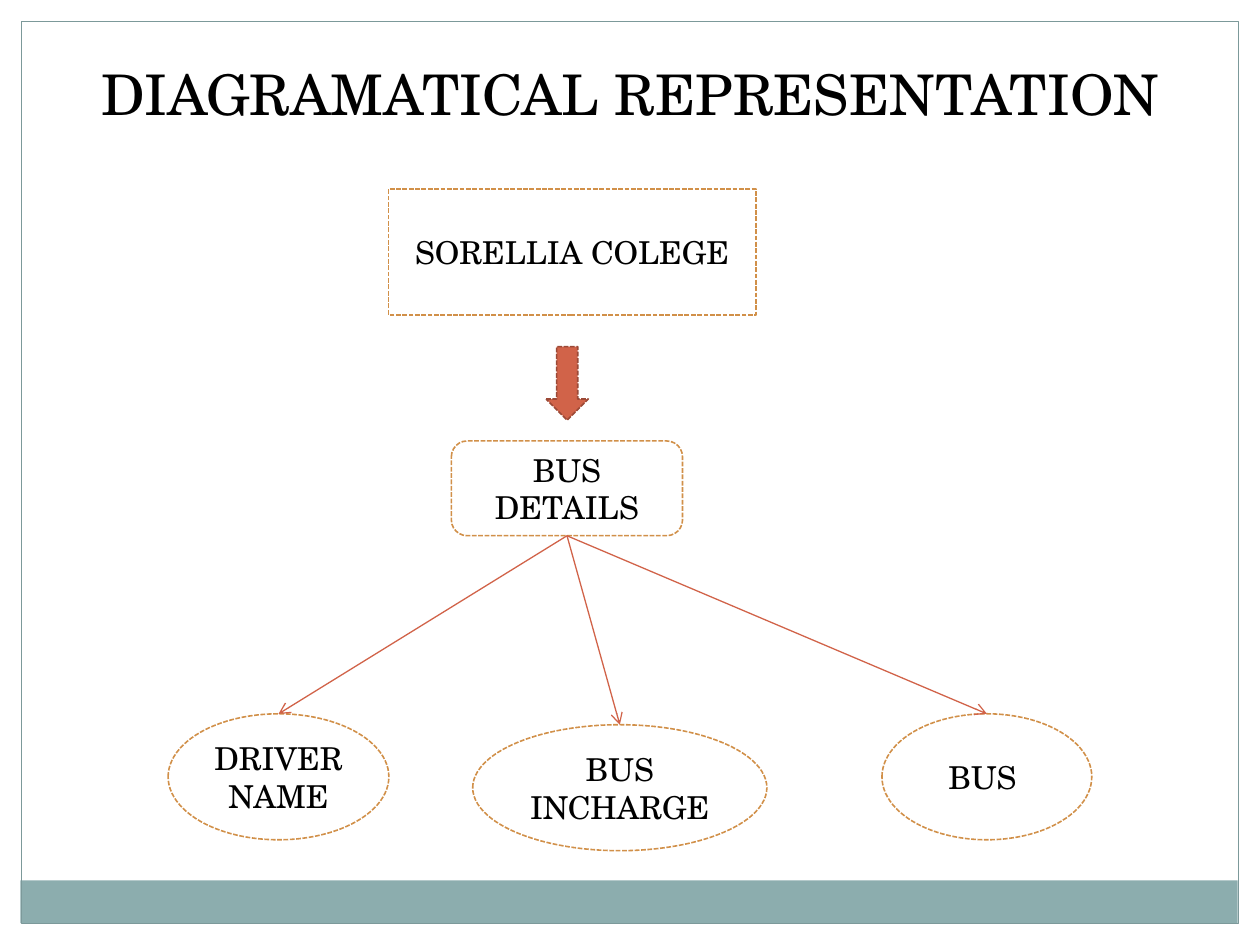
import pptx
import pptx.util
import pptx.dml.color
import pptx.enum.dml
import pptx.enum.shapes
import pptx.enum.text
import pptx.oxml.ns
import lxml.etree

Cm, Pt = pptx.util.Cm, pptx.util.Pt
SHAPE = pptx.enum.shapes.MSO_SHAPE
ANCHOR = pptx.enum.text.MSO_ANCHOR
FONT = "TeX Gyre Schola"
BLACK, WHITE, TEAL, GREY_TEAL = "000000", "FFFFFF", "8CADAE", "7C999A"
ORANGE, RED, DARK_RED = "D19049", "D16349", "9B4936"


def rgb(value):
    return pptx.dml.color.RGBColor.from_string(value)


def write(frame, text, size, anchor):
    frame.word_wrap = True
    frame.vertical_anchor = anchor
    frame.text = text
    paragraph = frame.paragraphs[0]
    paragraph.alignment = pptx.enum.text.PP_ALIGN.CENTER
    paragraph.font.name = FONT
    paragraph.font.size = Pt(size)
    paragraph.font.color.rgb = rgb(BLACK)


def add_block(slide, kind, place, fill=None, line=None, width=0.9, dashed=True):
    block = slide.shapes.add_shape(kind, *map(Cm, place))
    block.shadow.inherit = False
    if fill:
        block.fill.solid()
        block.fill.fore_color.rgb = rgb(fill)
    else:
        block.fill.background()
    if line:
        block.line.color.rgb = rgb(line)
        block.line.width = Pt(width)
        if dashed:
            block.line.dash_style = pptx.enum.dml.MSO_LINE.SQUARE_DOT
    else:
        block.line.fill.background()
    return block


def add_node(slide, kind, text, place):
    node = add_block(slide, kind, place, WHITE, ORANGE)
    write(node.text_frame, text, 18, ANCHOR.MIDDLE)
    return node


def add_arrow(slide, parent, child):
    """Join the bottom of the parent to the top of the child."""
    arrow = slide.shapes.add_connector(
        pptx.enum.shapes.MSO_CONNECTOR.STRAIGHT, 0, 0, 0, 0)
    arrow.begin_connect(parent, 2)
    arrow.end_connect(child, 0)
    arrow.line.color.rgb = rgb(RED)
    arrow.line.width = Pt(0.75)
    qn = pptx.oxml.ns.qn
    properties = arrow._element.spPr
    lxml.etree.SubElement(properties.find(qn("a:ln")), qn("a:tailEnd"), type="arrow")
    lxml.etree.SubElement(properties, qn("a:effectLst"))


def set_title(slide, text, place):
    title = slide.shapes.title
    title.left, title.top, title.width, title.height = map(Cm, place)
    write(title.text_frame, text, 32, ANCHOR.TOP)
    title.text_frame.auto_size = pptx.enum.text.MSO_AUTO_SIZE.SHAPE_TO_FIT_TEXT


def main():
    deck = pptx.Presentation()
    deck.slide_width, deck.slide_height = Cm(25.4), Cm(19.05)
    slide = deck.slides.add_slide(deck.slide_layouts[5])

    # Footer band and page frame
    add_block(slide, SHAPE.RECTANGLE, (0.41, 17.75, 24.54, 0.86), TEAL)
    add_block(slide, SHAPE.RECTANGLE, (0.43, 0.43, 24.54, 18.19),
              line=GREY_TEAL, width=0.75, dashed=False)

    set_title(slide, "DIAGRAMATICAL REPRESENTATION", (1.07, 1.07, 23.29, 1.63))

    # College leads to its bus details
    add_node(slide, SHAPE.RECTANGLE, "SORELLIA COLEGE", (7.83, 3.81, 7.41, 2.54))
    add_block(slide, SHAPE.DOWN_ARROW, (11.01, 6.99, 0.85, 1.48), RED, DARK_RED)
    details = add_node(slide, SHAPE.ROUNDED_RECTANGLE, "BUS DETAILS",
                       (9.1, 8.89, 4.66, 1.91))

    # Bus details branch into three items
    items = [
        ("DRIVER NAME", (3.39, 14.39, 4.45, 2.54)),
        ("BUS INCHARGE", (9.53, 14.61, 5.93, 2.54)),
        ("BUS ", (17.78, 14.39, 4.23, 2.54)),
    ]
    for text, place in items:
        add_arrow(slide, details, add_node(slide, SHAPE.OVAL, text, place))

    deck.save("out.pptx")


main()
